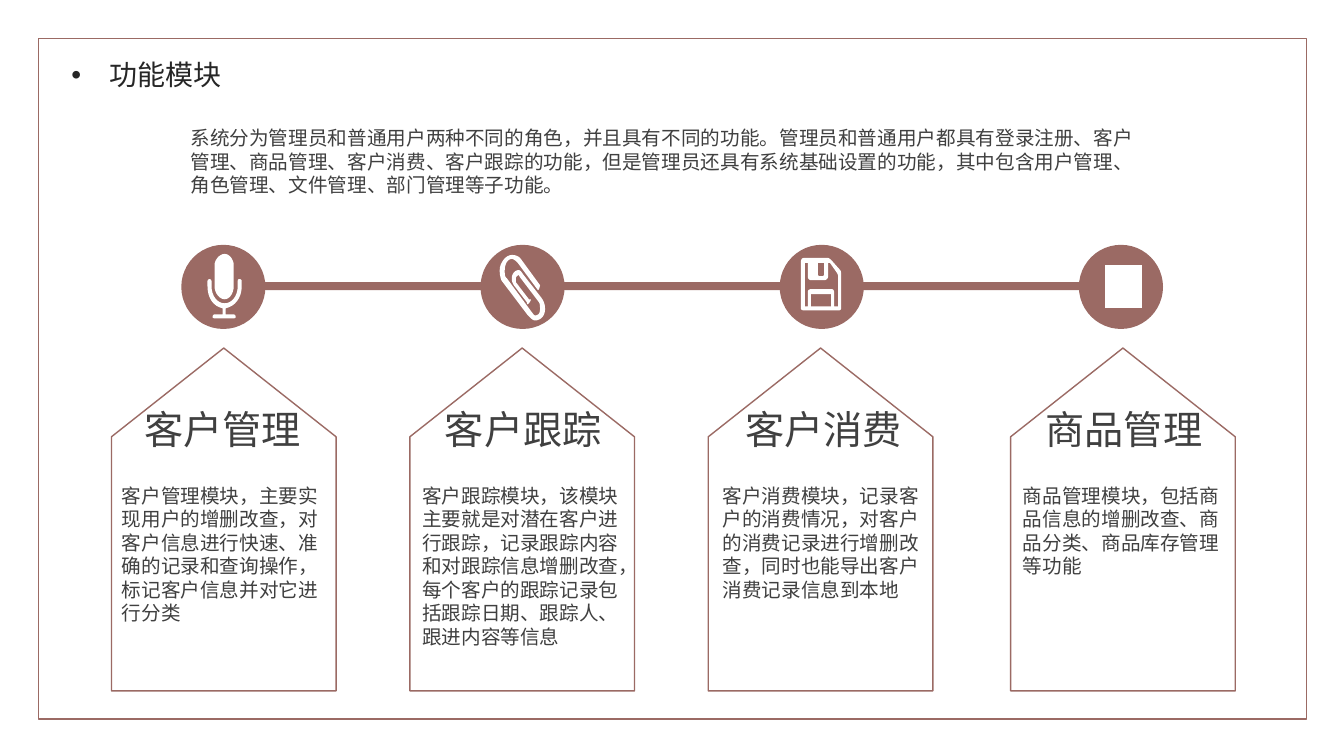
from lxml import etree
from pptx import Presentation
from pptx.dml.color import RGBColor
from pptx.enum.shapes import MSO_SHAPE
from pptx.enum.text import MSO_ANCHOR, PP_ALIGN
from pptx.oxml.ns import qn
from pptx.util import Cm, Pt

LEFT, CENTER = PP_ALIGN.LEFT, PP_ALIGN.CENTER
TOP, MIDDLE = MSO_ANCHOR.TOP, MSO_ANCHOR.MIDDLE
RECTANGLE, OVAL, PENTAGON = MSO_SHAPE.RECTANGLE, MSO_SHAPE.OVAL, MSO_SHAPE.PENTAGON

FONT = "Noto Sans CJK SC"
COLORS = {"accent": "9B6A64", "heading": "262626", "text": "404040", "icon": "FFFFFF"}

HEADING = "功能模块"
INTRO = ("系统分为管理员和普通用户两种不同的角色，并且具有不同的功能。"
         "管理员和普通用户都具有登录注册、客户管理、商品管理、客户消费、客户跟踪的功能，"
         "但是管理员还具有系统基础设置的功能，其中包含用户管理、角色管理、文件管理、部门管理等子功能。")

# Icon outlines in hundredths of an inch from the corner of the circle:
# a pair is a straight line to a point, six numbers are a cubic curve.
MICROPHONE = [
    [(60, 41), (60, 53, 53, 61, 44, 63), (44, 69), (52, 69), (53, 69, 54, 70, 54, 72),
     (54, 72, 53, 73, 52, 73), (33, 73), (32, 73, 31, 72, 31, 72), (31, 70, 32, 69, 33, 69),
     (41, 69), (41, 63), (32, 61, 26, 53, 26, 41), (26, 36), (26, 35, 27, 34, 28, 34),
     (29, 34, 30, 35, 30, 36), (30, 41), (30, 51, 36, 58, 43, 58), (50, 58, 56, 51, 56, 41),
     (56, 36), (56, 35, 56, 34, 58, 34), (59, 34, 60, 35, 60, 36)],
    [(52, 41), (52, 48, 48, 54, 43, 54), (38, 54, 33, 48, 33, 41), (33, 20),
     (33, 15, 38, 9, 43, 9), (48, 9, 52, 15, 52, 20)],
]
PAPERCLIP = [
    [(54, 75), (52, 75, 50, 73, 47, 70), (22, 37), (20, 35, 19, 30, 19, 25),
     (19, 18, 25, 10, 31, 10), (34, 10, 38, 11, 40, 14), (59, 40), (59, 41, 58, 45, 57, 45),
     (37, 18), (35, 16, 33, 14, 31, 14), (27, 14, 24, 19, 24, 25), (24, 29, 24, 32, 26, 33),
     (51, 67), (52, 68, 53, 70, 54, 70), (58, 70, 59, 67, 59, 64), (59, 60, 59, 59, 58, 57),
     (39, 32), (39, 32, 38, 30, 38, 30), (37, 30, 35, 32, 35, 33), (35, 35, 35, 35, 35, 37),
     (48, 54), (50, 54), (50, 56, 47, 59, 47, 59), (46, 59, 46, 57, 46, 57), (33, 40),
     (32, 38, 31, 37, 31, 33), (31, 29, 34, 25, 38, 25), (39, 25, 41, 27, 42, 29), (60, 52),
     (63, 56, 64, 59, 64, 64), (64, 70, 60, 75, 54, 75)],
]
DISK = [
    [(61, 63), (61, 64, 60, 65, 59, 65), (24, 65), (22, 65, 21, 64, 21, 63), (21, 17),
     (21, 15, 22, 13, 24, 13), (48, 13), (49, 13, 51, 15, 52, 16), (60, 25),
     (61, 26, 61, 28, 61, 31)],
    [(58, 61), (58, 31), (58, 30, 57, 28, 57, 28), (50, 18), (48, 18), (48, 32),
     (48, 33, 46, 35, 45, 35), (31, 35), (29, 35, 28, 33, 28, 32), (28, 18), (25, 18),
     (25, 61), (28, 61), (28, 47), (28, 45, 29, 44, 31, 44), (52, 44),
     (53, 44, 54, 45, 54, 47), (54, 61)],
    [(51, 61), (51, 49), (31, 49), (31, 61)],
    [(44, 18), (38, 18), (38, 30), (39, 31), (43, 31), (44, 30)],
]
BLOCK = [[(26, 20), (63, 20), (63, 63), (26, 63)]]

# title, description, icon, left edge of the unrotated pentagon in cm
MODULES = [
    ("客户管理", "客户管理模块，主要实现用户的增删改查，对客户信息进行快速、准确的记录和查询操作，"
     "标记客户信息并对它进行分类", MICROPHONE, 1.32),
    ("客户跟踪", "客户跟踪模块，该模块主要就是对潜在客户进行跟踪，记录跟踪内容和对跟踪信息增删改查，"
     "每个客户的跟踪记录包括跟踪日期、跟踪人、跟进内容等信息", PAPERCLIP, 8.84),
    ("客户消费", "客户消费模块，记录客户的消费情况，对客户的消费记录进行增删改查，"
     "同时也能导出客户消费记录信息到本地", DISK, 16.36),
    ("商品管理", "商品管理模块，包括商品信息的增删改查、商品分类、商品库存管理等功能", BLOCK, 23.98),
]
CIRCLE_LEFT, CIRCLE_TOP, CIRCLE_SIZE, CIRCLE_PITCH = 4.57, 6.17, 2.12, 7.54
TEXT_LEFT, TEXT_WIDTH, TEXT_PITCH = 2.82, 5.59, 7.57
UNITS = 100  # path steps per hundredth of an inch
CURVE_STEPS = 8


def color(name):
    return RGBColor.from_string(COLORS[name])


def write_text(shape, text, size=14, tint="text", align=LEFT, anchor=TOP, bullet=None):
    frame = shape.text_frame
    frame.word_wrap = True
    frame.vertical_anchor = anchor
    frame.margin_left = frame.margin_right = Cm(0.25)
    frame.margin_top = frame.margin_bottom = Cm(0.13)
    paragraph = frame.paragraphs[0]
    paragraph.alignment = align
    paragraph.line_spacing = 1.0
    paragraph.space_before = Pt(0)
    if bullet:
        properties = paragraph._p.get_or_add_pPr()
        properties.set("marL", str(Cm(0.95)))
        properties.set("indent", str(-Cm(0.95)))
        etree.SubElement(properties, qn("a:buFont"), typeface="Arial")
        etree.SubElement(properties, qn("a:buChar"), char=bullet)
    run = paragraph.add_run()
    run.text = text
    run.font.size = Pt(size)
    run.font.name = FONT
    run.font.color.rgb = color(tint)
    etree.SubElement(run._r.get_or_add_rPr(), qn("a:ea"), typeface=FONT)


def add_text(slide, box, text, **style):
    write_text(slide.shapes.add_textbox(*map(Cm, box)), text, **style)


def paint(shape, fill=None, line=None):
    shape.shadow.inherit = False
    if fill:
        shape.fill.solid()
        shape.fill.fore_color.rgb = color(fill)
    else:
        shape.fill.background()
    if line:
        shape.line.color.rgb = color(line)
        shape.line.width = Pt(1)
    else:
        shape.line.fill.background()


def add_preset(slide, kind, box, **style):
    shape = slide.shapes.add_shape(kind, *map(Cm, box))
    paint(shape, **style)
    return shape


def flatten(contour):
    """Turn lines and cubic curves into a plain list of points."""
    points = []
    for segment in contour:
        if len(segment) == 2:
            points.append(segment)
            continue
        x0, y0 = points[-1]
        x1, y1, x2, y2, x3, y3 = segment
        for step in range(1, CURVE_STEPS + 1):
            t = step / CURVE_STEPS
            a, b, c, d = (1 - t) ** 3, 3 * t * (1 - t) ** 2, 3 * t * t * (1 - t), t ** 3
            points.append((a * x0 + b * x1 + c * x2 + d * x3,
                           a * y0 + b * y1 + c * y2 + d * y3))
    return [(round(x * UNITS), round(y * UNITS)) for x, y in points]


def add_icon(slide, contours, left, top):
    outlines = [flatten(contour) for contour in contours]
    builder = slide.shapes.build_freeform(*outlines[0][0], scale=Cm(0.0254) / UNITS)
    for number, points in enumerate(outlines):
        if number:
            builder.move_to(*points[0])
        builder.add_line_segments(points[1:], close=True)
    paint(builder.convert_to_shape(Cm(left), Cm(top)), fill="icon")


def main():
    presentation = Presentation()
    presentation.slide_width, presentation.slide_height = Cm(33.87), Cm(19.05)
    slide = presentation.slides.add_slide(presentation.slide_layouts[5])

    add_preset(slide, RECTANGLE, (0.97, 0.97, 31.95, 17.15), line="accent")
    title = slide.shapes.title
    title.left, title.top, title.width, title.height = map(Cm, (1.55, 1.32, 5.13, 1.12))
    write_text(title, HEADING, size=20, tint="heading", anchor=MIDDLE, bullet="•")
    add_text(slide, (4.55, 3.05, 24.4, 2.4), INTRO)

    add_preset(slide, RECTANGLE, (6.1, 7.11, 21.69, 0.2), fill="accent")
    for index, (name, description, icon, pentagon_left) in enumerate(MODULES):
        circle_left = CIRCLE_LEFT + index * CIRCLE_PITCH
        add_preset(slide, OVAL, (circle_left, CIRCLE_TOP, CIRCLE_SIZE, CIRCLE_SIZE), fill="accent")
        add_icon(slide, icon, circle_left, CIRCLE_TOP)

        pentagon = add_preset(slide, PENTAGON, (pentagon_left, 10.26, 8.64, 5.66), line="accent")
        pentagon.rotation = 270
        pentagon.adjustments[0] = 0.395

        text_left = TEXT_LEFT + index * TEXT_PITCH
        add_text(slide, (text_left, 10.08, TEXT_WIDTH, 1.7), name, size=28, align=CENTER)
        add_text(slide, (text_left, 12.06, TEXT_WIDTH, 5.3), description)

    presentation.save("out.pptx")


if __name__ == "__main__":
    main()
